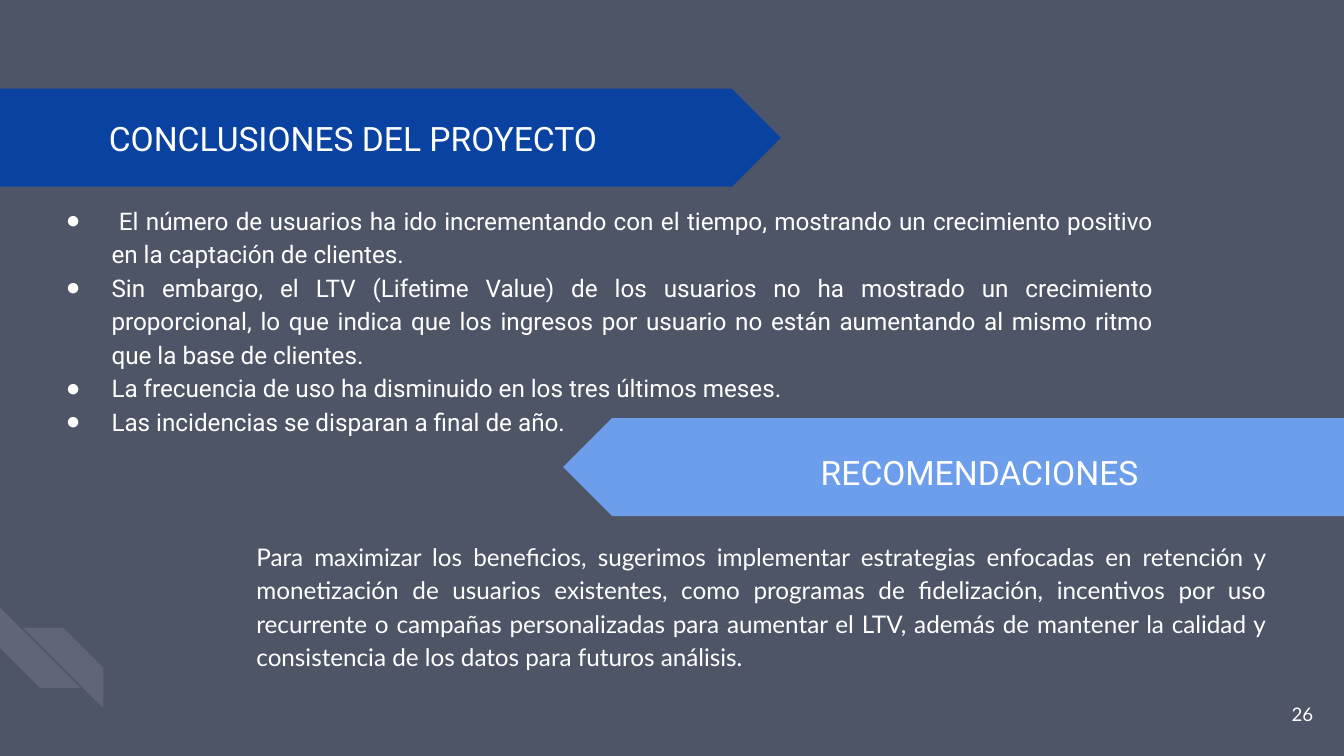
from pptx import Presentation
from pptx.dml.color import RGBColor
from pptx.enum.shapes import MSO_SHAPE
from pptx.enum.text import MSO_ANCHOR, MSO_AUTO_SIZE, PP_ALIGN
from pptx.oxml.ns import qn
from pptx.util import Inches, Pt
from lxml.etree import SubElement


def paint(fill, color):
    fill.solid()
    fill.fore_color.rgb = RGBColor.from_string(color)


def write(box, place, lines, size, face, align, space=1.0, mark=None, anchor=MSO_ANCHOR.TOP):
    box.left, box.top, box.width, box.height = [Inches(n) for n in place]
    frame = box.text_frame
    frame.word_wrap = True
    frame.auto_size = MSO_AUTO_SIZE.NONE
    frame.vertical_anchor = anchor
    frame.margin_left = frame.margin_right = Inches(0.1)
    frame.margin_top = frame.margin_bottom = Inches(0.1)
    frame.text = "\n".join(lines)
    for para in frame.paragraphs:
        para.alignment = align
        para.line_spacing = space
        para.space_before = Pt(0)
        if mark:
            props = para._p.get_or_add_pPr()
            props.set("marL", str(Inches(0.5)))
            props.set("indent", str(Inches(-0.34)))
            tint = SubElement(props, qn("a:buClr"))
            SubElement(tint, qn("a:srgbClr")).set("val", "FFFFFF")
            SubElement(props, qn("a:buChar")).set("char", mark)
        para.font.size = Pt(size)
        para.font.name = face
        paint(para.font.fill, "FFFFFF")


# A 16:9 slide
deck = Presentation()
deck.slide_width = Inches(10)
deck.slide_height = Inches(10) * 9 // 16
slide = deck.slides.add_slide(deck.slide_layouts[1])
paint(slide.background.fill, "4E5567")
shapes = slide.shapes
title, body = slide.placeholders

# Corner stripes, then the two arrow banners
for kind, place, turn, flip, color, alpha in [
    (MSO_SHAPE.DIAGONAL_STRIPE, (0, 4.52, 0.6, 0.6), 270, False, "FFFFFF", 10),
    (MSO_SHAPE.DIAGONAL_STRIPE, (0.17, 4.67, 0.6, 0.6), 0, True, "FFFFFF", 10),
    (MSO_SHAPE.PENTAGON, (0, 0.66, 5.81, 0.73), 0, False, "0942A1", 100),
    (MSO_SHAPE.PENTAGON, (4.19, 3.11, 5.81, 0.73), 180, False, "6D9EEB", 100),
]:
    shape = shapes.add_shape(kind, *[Inches(n) for n in place])
    shape.rotation = turn
    shape.shadow.inherit = False
    shape.line.fill.background()
    paint(shape.fill, color)
    if flip:
        shape.element.spPr.find(qn("a:xfrm")).set("flipH", "1")
    if alpha < 100:
        tone = shape.element.spPr.find(".//" + qn("a:srgbClr"))
        SubElement(tone, qn("a:alpha")).set("val", str(alpha * 1000))

# Bring the title and list in front of the banners
for holder in (title, body):
    shapes.element.append(holder.element)

# Conclusions
write(title, (0.71, 0.78, 4.39, 0.51), ["CONCLUSIONES DEL PROYECTO"], 18, "Roboto", PP_ALIGN.LEFT)
write(body, (0.23, 1.4, 8.44, 2.09), [
    " El número de usuarios ha ido incrementando con el tiempo, mostrando un crecimiento "
    "positivo en la captación de clientes.",
    "Sin embargo, el LTV (Lifetime Value) de los usuarios no ha mostrado un crecimiento "
    "proporcional, lo que indica que los ingresos por usuario no están aumentando al mismo "
    "ritmo que la base de clientes.",
    "La frecuencia de uso ha disminuido en los tres últimos meses.",
    "Las incidencias se disparan a final de año.",
], 13, "Roboto", PP_ALIGN.JUSTIFY, 1.15, "●")

# Recommendations and page number
advice = (
    "Para maximizar los beneficios, sugerimos implementar estrategias enfocadas en retención "
    "y monetización de usuarios existentes, como programas de fidelización, incentivos por uso "
    "recurrente o campañas personalizadas para aumentar el LTV, además de mantener la calidad "
    "y consistencia de los datos para futuros análisis."
)
for place, line, size, face, align, space, anchor in [
    ((5.63, 3.26, 2.94, 0.51), "RECOMENDACIONES", 18, "Roboto", PP_ALIGN.RIGHT, 1.0, MSO_ANCHOR.TOP),
    ((1.81, 3.9, 7.7, 1.34), advice, 13, "Lato", PP_ALIGN.JUSTIFY, 1.15, MSO_ANCHOR.TOP),
    ((9.27, 5.1, 0.6, 0.43), "26", 10, "Lato", PP_ALIGN.RIGHT, 1.0, MSO_ANCHOR.MIDDLE),
]:
    box = shapes.add_textbox(0, 0, 0, 0)
    write(box, place, [line], size, face, align, space, anchor=anchor)

deck.save("out.pptx")
